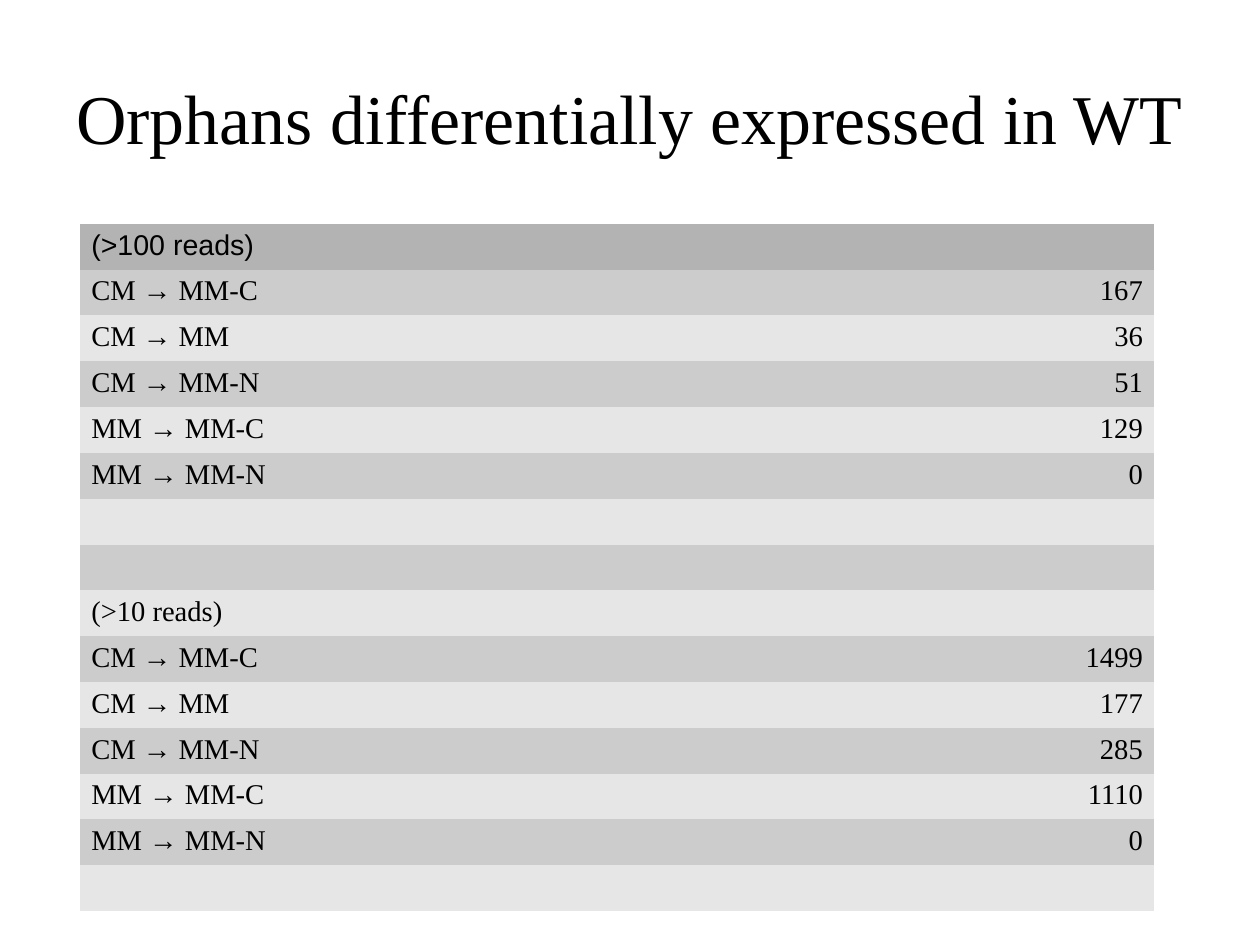
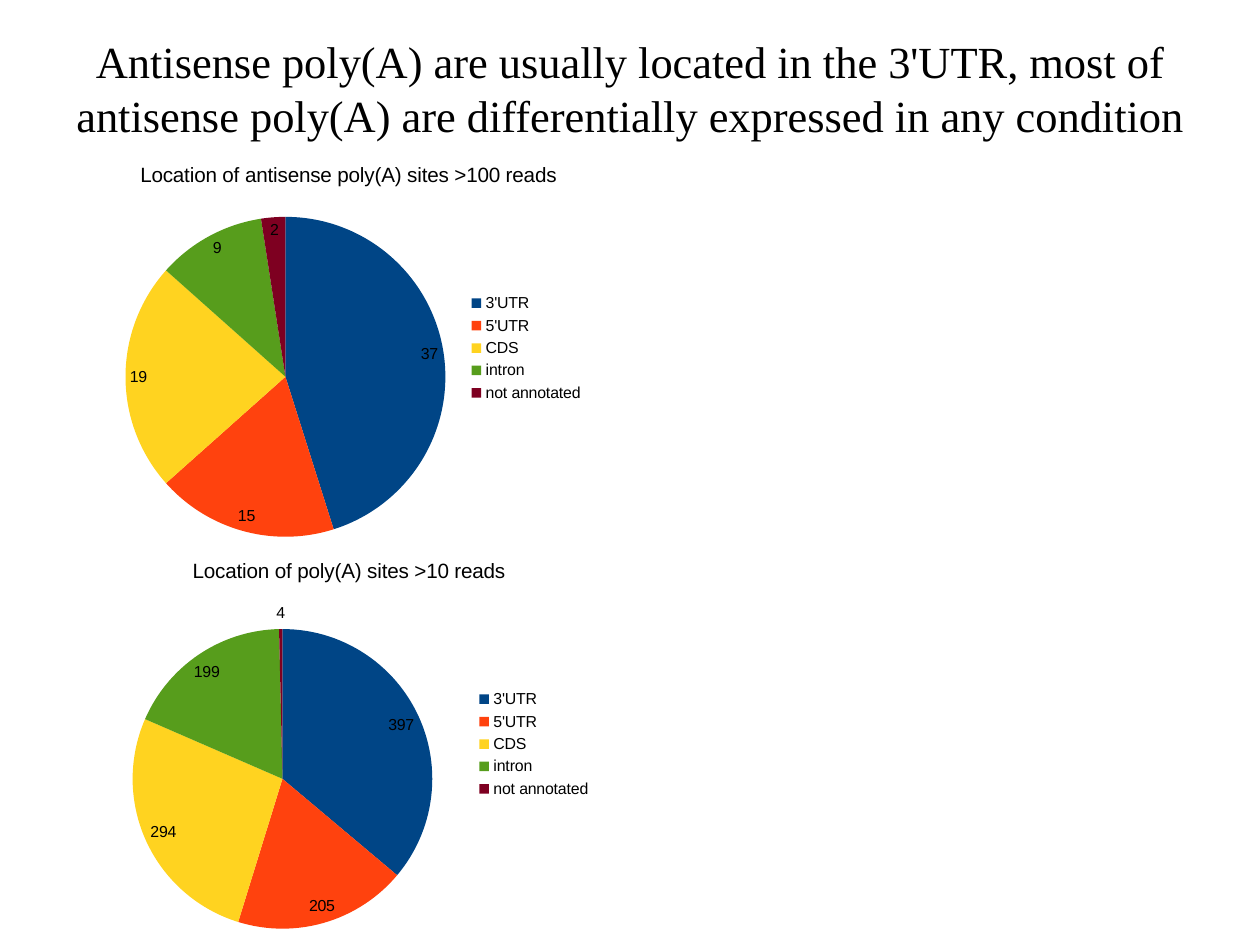
import dataclasses

import pptx
import pptx.chart.chart
import pptx.chart.data
import pptx.dml.color
import pptx.enum.chart
import pptx.enum.text
import pptx.oxml
import pptx.oxml.ns
import pptx.slide
import pptx.table
import pptx.util

PX = 9000  # EMU in one px, at 40 px to the centimetre
SERIF = "Times New Roman"
SANS = "Arial"
COLORS = {
    "ink": "000000",
    "paper": "FFFFFF",
    "head": "B3B3B3",
    "dark": "CCCCCC",
    "light": "E6E6E6",
}
SITES = {
    "3'UTR": "004586",
    "5'UTR": "FF420E",
    "CDS": "FFD320",
    "intron": "579D1C",
    "not annotated": "7E0021",
}
PAIRS = ["CM → MM-C", "CM → MM", "CM → MM-N", "MM → MM-C", "MM → MM-N"]
COUNTS_100 = [167, 36, 51, 129, 0]
COUNTS_10 = [1499, 177, 285, 1110, 0]
BLANK = ("", "")


@dataclasses.dataclass(frozen=True)
class Box:
    x: int
    y: int
    w: int
    h: int

    def emu(self) -> list[int]:
        return [n * PX for n in dataclasses.astuple(self)]


@dataclasses.dataclass(frozen=True)
class Pie:
    title: str
    box: Box
    values: tuple[int, ...]
    plot: dict[str, float]
    legend: dict[str, float]


PIES = [
    Pie(
        "Location of antisense poly(A) sites >100 reads",
        Box(0, 128, 619, 360),
        (37, 15, 19, 9, 2),
        {"x": 0.18, "y": 0.18, "w": 0.46, "h": 0.79},
        {"x": 0.67, "y": 0.36},
    ),
    Pie(
        "Location of poly(A) sites >10 reads",
        Box(0, 480, 620, 360),
        (397, 205, 294, 199, 4),
        {"x": 0.19, "y": 0.22, "w": 0.43, "h": 0.74},
        {"x": 0.68, "y": 0.36},
    ),
]


def rgb(code: str) -> pptx.dml.color.RGBColor:
    return pptx.dml.color.RGBColor.from_string(code)


def set_font(font, size: int, face: str) -> None:
    font.size = pptx.util.Pt(size)
    font.name = face
    font.bold = False
    font.color.rgb = rgb(COLORS["ink"])


def add_slide(deck, title: str, top: int, size: int) -> pptx.slide.Slide:
    slide = deck.slides.add_slide(deck.slide_layouts[5])
    shape = slide.shapes.title
    shape.left, shape.top, shape.width, shape.height = Box(56, top, 1008, 140).emu()
    frame = shape.text_frame
    frame.text = title
    frame.word_wrap = True
    frame.auto_size = pptx.enum.text.MSO_AUTO_SIZE.NONE
    frame.vertical_anchor = pptx.enum.text.MSO_ANCHOR.MIDDLE
    frame.margin_left = frame.margin_right = 0
    frame.margin_top = frame.margin_bottom = 0
    line = frame.paragraphs[0]
    line.alignment = pptx.enum.text.PP_ALIGN.CENTER
    set_font(line.font, size, SERIF)
    return slide


def fill_cell(cell: pptx.table._Cell, text: str, row: int, col: int) -> None:
    cell.text = text
    cell.fill.solid()
    tone = "head" if row == 0 else "dark" if row % 2 else "light"
    cell.fill.fore_color.rgb = rgb(COLORS[tone])
    line = cell.text_frame.paragraphs[0]
    align = pptx.enum.text.PP_ALIGN
    line.alignment = align.RIGHT if col else align.LEFT
    set_font(line.font, 18, SERIF if row else SANS)


def add_grid(slide: pptx.slide.Slide) -> None:
    rows = [
        ("(>100 reads)", ""),
        *zip(PAIRS, map(str, COUNTS_100)),
        BLANK,
        BLANK,
        ("(>10 reads)", ""),
        *zip(PAIRS, map(str, COUNTS_10)),
        BLANK,
    ]
    box = Box(71, 199, 955, 611)
    table = slide.shapes.add_table(len(rows), 2, *box.emu()).table
    table.first_row = table.horz_banding = False
    style = table._tbl.tblPr.find(pptx.oxml.ns.qn("a:tableStyleId"))
    style.text = "{2D5ABB26-0587-4C30-8999-92F81FD0307C}"  # no style, no grid
    for col, width in zip(table.columns, (633, 322)):
        col.width = width * PX
    for r, texts in enumerate(rows):
        for c, text in enumerate(texts):
            fill_cell(table.cell(r, c), text, r, c)


def make_layout(parts: dict[str, float], inner: bool):
    """Build a manual layout from fractions of the chart's size."""
    tags = '<c:layoutTarget val="inner"/>' if inner else ""
    tags += '<c:xMode val="edge"/><c:yMode val="edge"/>'
    tags += "".join(f'<c:{key} val="{val}"/>' for key, val in parts.items())
    return pptx.oxml.parse_xml(
        f'<c:layout {pptx.oxml.ns.nsdecls("c")}>'
        f"<c:manualLayout>{tags}</c:manualLayout></c:layout>"
    )


def place_parts(chart: pptx.chart.chart.Chart, pie: Pie) -> None:
    """Place plot and legend, and paint the chart's ground."""
    qn = pptx.oxml.ns.qn
    area = chart._chartSpace.chart.plotArea
    legend = chart.legend._element
    for part in (area, legend):
        for old in part.findall(qn("c:layout")):
            part.remove(old)
    area.insert(0, make_layout(pie.plot, True))
    legend.find(qn("c:legendPos")).addnext(make_layout(pie.legend, False))
    ground = pptx.oxml.parse_xml(
        f'<c:spPr {pptx.oxml.ns.nsdecls("c", "a")}><a:solidFill>'
        f'<a:srgbClr val="{COLORS["paper"]}"/></a:solidFill>'
        "<a:ln><a:noFill/></a:ln></c:spPr>"
    )
    chart._chartSpace.find(qn("c:txPr")).addprevious(ground)


def add_pie(slide: pptx.slide.Slide, pie: Pie) -> None:
    enums = pptx.enum.chart
    data = pptx.chart.data.CategoryChartData()
    data.categories = list(SITES)
    data.add_series("Series 1", pie.values)
    kind = enums.XL_CHART_TYPE.PIE
    chart = slide.shapes.add_chart(kind, *pie.box.emu(), data).chart
    set_font(chart.font, 10, SANS)

    chart.has_title = True
    chart.chart_title.include_in_layout = False
    frame = chart.chart_title.text_frame
    frame.text = pie.title
    set_font(frame.paragraphs[0].font, 13, SANS)

    chart.has_legend = True
    chart.legend.position = enums.XL_LEGEND_POSITION.RIGHT
    chart.legend.include_in_layout = False
    set_font(chart.legend.font, 10, SANS)

    plot = chart.plots[0]
    plot.vary_by_categories = True
    series = plot.series[0]
    for i, code in enumerate(SITES.values()):
        fill = series.points[i].format.fill
        fill.solid()
        fill.fore_color.rgb = rgb(code)
    labels = series.data_labels
    labels.show_value = True
    labels.show_percentage = False
    labels.number_format = "General"
    labels.number_format_is_linked = False
    labels.position = enums.XL_LABEL_POSITION.BEST_FIT
    set_font(labels.font, 10, SANS)
    place_parts(chart, pie)


def main() -> None:
    deck = pptx.Presentation()
    deck.slide_width, deck.slide_height = 1120 * PX, 840 * PX
    add_grid(add_slide(deck, "Orphans differentially expressed in WT", 34, 44))
    slide = add_slide(
        deck,
        "Antisense poly(A) are usually located in the 3'UTR, most of "
        "antisense poly(A) are differentially expressed in any condition",
        8,
        28,
    )
    for pie in PIES:
        add_pie(slide, pie)
    deck.save("out.pptx")


if __name__ == "__main__":
    main()
